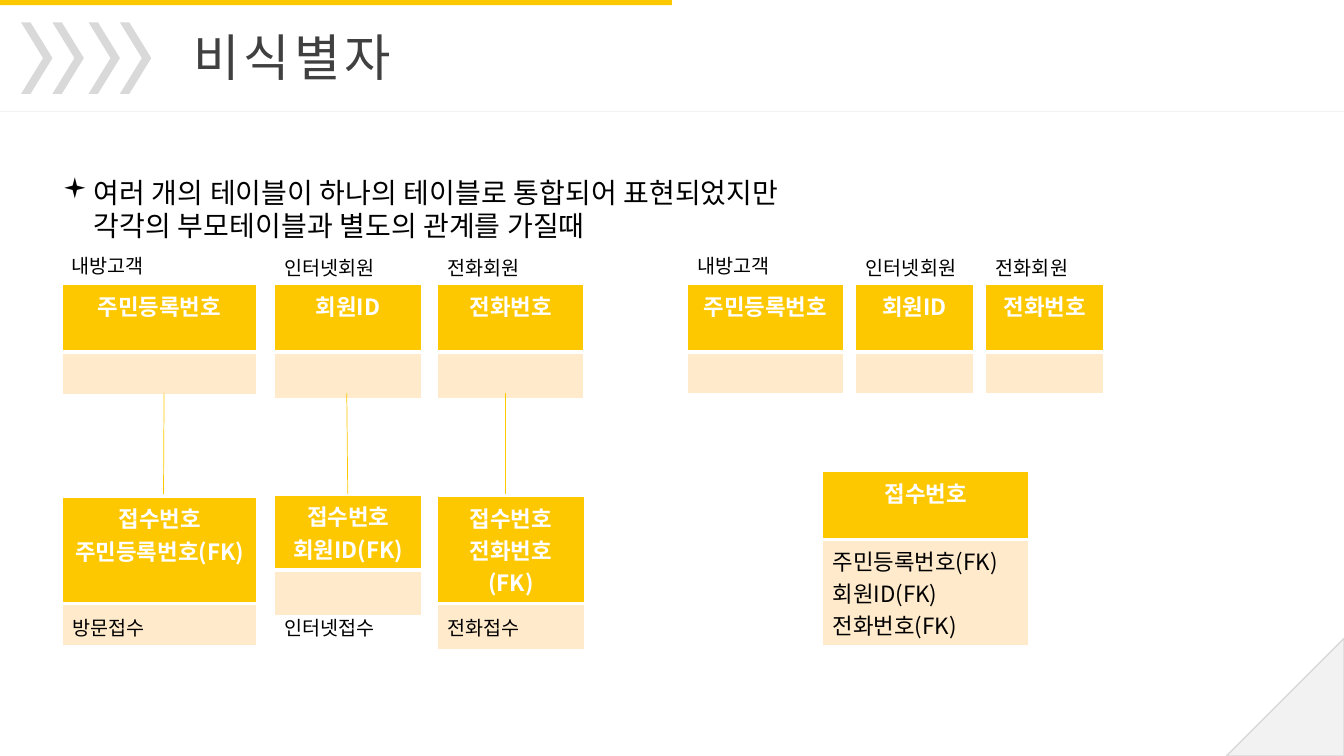
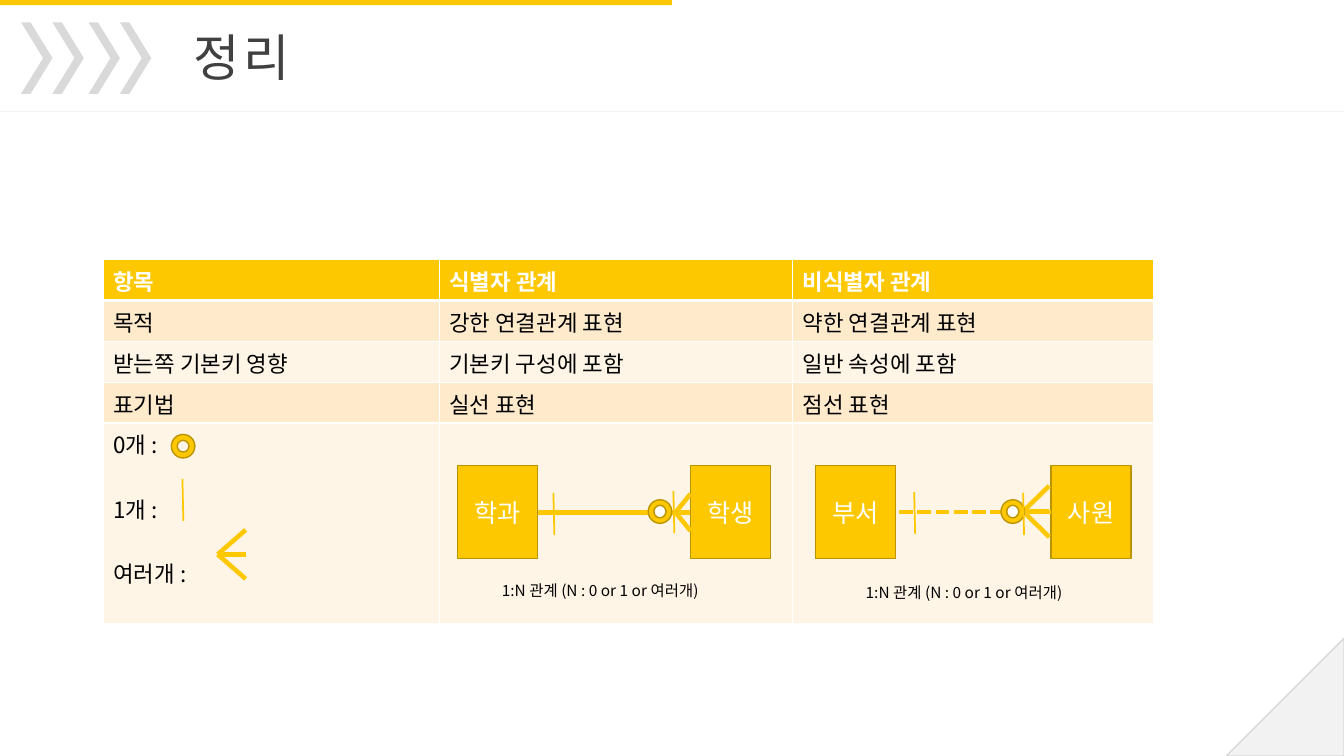
from dataclasses import dataclass

from lxml import etree
from pptx import Presentation
from pptx.dml.color import RGBColor
from pptx.enum.dml import MSO_LINE
from pptx.enum.shapes import MSO_CONNECTOR, MSO_SHAPE
from pptx.enum.text import MSO_ANCHOR, PP_ALIGN
from pptx.oxml.ns import qn
from pptx.util import Pt

LEFT, MID, JUST = PP_ALIGN.LEFT, PP_ALIGN.CENTER, PP_ALIGN.JUSTIFY
RECT, OVAL, RING = MSO_SHAPE.RECTANGLE, MSO_SHAPE.OVAL, MSO_SHAPE.DONUT
CHEVRON, CORNER = MSO_SHAPE.CHEVRON, MSO_SHAPE.RIGHT_TRIANGLE
STRAIGHT, DASH = MSO_CONNECTOR.STRAIGHT, MSO_LINE.SQUARE_DOT


@dataclass(frozen=True)
class Theme:
    gold: str = "FEC800"
    edge: str = "BC9400"
    cream: str = "FFEBCC"
    pale: str = "FFF5E7"
    mist: str = "F2F2F2"
    grey: str = "D9D9D9"
    dark: str = "404040"
    black: str = "000000"
    white: str = "FFFFFF"
    head: str = "League Spartan"
    body: str = "Calibri"
    cell: str = "Noto Sans CJK KR"
    mark: str = "Wingdings"
    title: int = 36
    lead: int = 20
    box: int = 18
    table: int = 16
    label: int = 14
    note: int = 11


T = Theme()

# Slide 1
LEAD = ("여러 개의 테이블이 하나의 테이블로 통합되어 표현되었지만 "
        "각각의 부모테이블과 별도의 관계를 가질때")
# left, top, width, key height, body height, key lines, body lines
ENTITIES = [
    (44.6, 355, 139, 76, 30, ["접수번호", "주민등록번호(FK)"], []),
    (196, 353.5, 105.5, 53.6, 32.5, ["접수번호", "회원ID(FK)"], []),
    (312.5, 354.6, 105, 76.4, 33, ["접수번호", "전화번호(FK)"], []),
    (44.6, 203.5, 138.5, 48, 30.5, ["주민등록번호"], []),
    (196, 203.5, 105, 48, 33.5, ["회원ID"], []),
    (312.5, 203.5, 104.5, 48, 33.5, ["전화번호"], []),
    (587.5, 337, 147.5, 48.3, 76, ["접수번호"],
     ["주민등록번호(FK)", "회원ID(FK)", "전화번호(FK)"]),
    (491, 203.5, 111.5, 48, 29.5, ["주민등록번호"], []),
    (611.3, 203.5, 84, 48, 29.5, ["회원ID"], []),
    (704.2, 203.5, 84, 48, 29.5, ["전화번호"], []),
]
LABELS = [
    (44, 178, "내방고객"), (196, 179.3, "인터넷회원"), (312.5, 179.3, "전화회원"),
    (44.6, 436.3, "방문접수"), (196, 436.3, "인터넷접수"), (312.5, 436.3, "전화접수"),
    (491, 178, "내방고객"), (611.3, 179.3, "인터넷회원"), (704.2, 179.3, "전화회원"),
]
LINKS = [(117.2, 116.8), (360.7, 360.7), (247.7, 248.4)]

# Slide 2
COLS = [240, 252.5, 258]
ROWS = [29.2, 29.2, 29.2, 29.2, 143]
GRID = [
    [["항목"], ["식별자 관계"], ["비식별자 관계"]],
    [["목적"], ["강한 연결관계 표현"], ["약한 연결관계 표현"]],
    [["받는쪽 기본키 영향"], ["기본키 구성에 포함"], ["일반 속성에 포함"]],
    [["표기법"], ["실선 표현"], ["점선 표현"]],
    [["0개 :", "1개 :", "여러개 :"], [], []],
]
NOTE = "1:N 관계 (N : 0 or 1 or 여러개)"
AXIS = 365.8
# boxes, line (start, end, width, dash), foot (x, y, reach, spread),
# ring left, ticks, note position
MODELS = [
    dict(boxes=[(327, "학과"), (493.2, "학생")], line=(384, 493.2, 3.5, None),
         foot=(482.5, 366, 10.7, 13.2), ring=463,
         ticks=[(395.3, 352.1), (481, 350.8)], note=(351.4, 411.4)),
    dict(boxes=[(582.5, "부서"), (750.8, "사원")], line=(642.2, 751, 3.25, DASH),
         foot=(730.8, 365.3, 18.7, 18.3), ring=715,
         ticks=[(653, 351.5), (730.8, 352.1)], note=(611.3, 412.6)),
]
LEGEND = dict(ring=(122.4, 310.3), tick=(130.3, 342), foot=(155.5, 396, 20, 17.5))


def rgb(code):
    return RGBColor.from_string(code)


def write(frame, lines, size, color, font=T.cell, bold=False, align=LEFT, gap=0, track=0):
    """Fill a text frame with one paragraph per line."""
    for i, line in enumerate(lines):
        para = frame.paragraphs[0] if i == 0 else frame.add_paragraph()
        para.alignment = align
        if i and gap:
            para.space_before = Pt(gap)
        run = para.add_run()
        run.text = line
        run.font.name, run.font.size, run.font.bold = font, Pt(size), bold
        run.font.color.rgb = rgb(color)
        props = run.font._element
        etree.SubElement(props, qn("a:ea"), typeface=font)
        if track:
            props.set("spc", str(track * 100))


def text(slide, x, y, w, h, line, size, color=T.black, font=T.body, **style):
    frame = slide.shapes.add_textbox(Pt(x), Pt(y), Pt(w), Pt(h)).text_frame
    frame.word_wrap = True
    write(frame, [line], size, color, font, **style)
    return frame


def shape(shapes, kind, x, y, w, h, fill, edge=None):
    item = shapes.add_shape(kind, Pt(x), Pt(y), Pt(w), Pt(h))
    item.shadow.inherit = False
    item.fill.solid()
    item.fill.fore_color.rgb = rgb(fill)
    if edge:
        item.line.color.rgb = rgb(edge)
        item.line.width = Pt(1)
    else:
        item.line.fill.background()
    return item


def line(slide, x1, y1, x2, y2, width, color=T.gold, dash=None):
    item = slide.shapes.add_connector(STRAIGHT, Pt(x1), Pt(y1), Pt(x2), Pt(y2))
    item.line.color.rgb = rgb(color)
    item.line.width = Pt(width)
    if dash:
        item.line.dash_style = dash
    etree.SubElement(item._element.spPr, qn("a:effectLst"))


def paint(cell, fill, base):
    """Draw white borders, then the fill, as the schema orders them."""
    props = cell._tc.get_or_add_tcPr()
    for side, width in (("L", 1), ("R", 1), ("T", 1), ("B", base)):
        rule = etree.SubElement(props, qn("a:ln" + side), w=str(Pt(width)))
        tint = etree.SubElement(rule, qn("a:solidFill"))
        etree.SubElement(tint, qn("a:srgbClr"), val=T.white)
    cell.fill.solid()
    cell.fill.fore_color.rgb = rgb(fill)


def table(slide, x, y, cols, rows, cells, align=LEFT, gap=0):
    """Add a table whose first row is its header."""
    grid = slide.shapes.add_table(len(rows), len(cols), Pt(x), Pt(y),
                                  Pt(sum(cols)), Pt(sum(rows))).table
    grid.first_row = grid.horz_banding = False
    for c, width in enumerate(cols):
        grid.columns[c].width = Pt(width)
    for r, height in enumerate(rows):
        grid.rows[r].height = Pt(height)
        head = r == 0
        fill = T.gold if head else T.cream if r % 2 else T.pale
        for c, lines in enumerate(cells[r]):
            cell = grid.cell(r, c)
            paint(cell, fill, 3 if head else 1)
            if lines:
                write(cell.text_frame, lines, T.table, T.white if head else T.black,
                      bold=head, align=align if head else LEFT, gap=gap)
            else:
                cell.text_frame.paragraphs[0].font.size = Pt(T.note)


def start(deck, title):
    """Add a slide with the shared band, rule, chevrons, corner and title."""
    slide = deck.slides.add_slide(deck.slide_layouts[6])
    shape(slide.shapes, CORNER, 876, 456, 84, 84, T.mist, T.grey).rotation = 270
    shape(slide.shapes, RECT, 0, 0, 480, 3.6, T.gold)
    line(slide, 0, 79.2, 960, 79.2, 0.5, T.mist)
    for pair in range(2):
        group = slide.shapes.add_group_shape()
        for step in range(2):
            mark = shape(group.shapes, CHEVRON, 15.1 + 48.2 * pair + 22.4 * step,
                         16, 22.4, 51, T.grey)
            mark.adjustments[0] = 0.7
    text(slide, 131, 15, 743, 51, title, T.title, T.dark, T.head, align=JUST, track=3)
    return slide


def foot(slide, x, y, reach, spread):
    """Draw the three toes that mean many."""
    for side in (-1, 0, 1):
        line(slide, x, y, x + reach, y + side * spread, 3.25)


def tick(slide, x, y):
    line(slide, x, y, x + 0.7, y + 30, 1.25)


def ring(slide, x, y):
    shape(slide.shapes, RING, x, y, 16.8, 16.8, T.gold, T.edge)


def model(slide, boxes, line_, foot_, ring_, ticks, note):
    for x, name in boxes:
        box = shape(slide.shapes, RECT, x, 332.6, 57, 66.3, T.gold, T.edge)
        box.text_frame.vertical_anchor = MSO_ANCHOR.MIDDLE
        write(box.text_frame, [name], T.box, T.white, align=MID)
    x1, x2, width, dash = line_
    line(slide, x1, AXIS, x2, AXIS, width, dash=dash)
    foot(slide, *foot_)
    text(slide, *note, 172, 21, NOTE, T.note, font=T.cell)
    ring(slide, ring_, 357)
    for spot in ticks:
        tick(slide, *spot)
    shape(slide.shapes, OVAL, ring_ + 4.1, 360.9, 8.6, 9, T.white, T.edge)


def keys(deck):
    slide = start(deck, "비식별자")
    for x, y, w, top, base, key, body in ENTITIES:
        table(slide, x, y, [w], [top, base], [[key], [body]], MID)
    for x, y, name in LABELS:
        text(slide, x, y, 100, 24.5, name, T.label)
    for top, end in LINKS:
        line(slide, top, 281, end, 353, 0.5)
    para = text(slide, 37.5, 121.7, 582, 55.5, LEAD, T.lead).paragraphs[0]
    props = para._p.get_or_add_pPr()
    props.set("marL", str(Pt(22.5)))
    props.set("indent", str(-Pt(22.5)))
    etree.SubElement(props, qn("a:buFont"), typeface=T.mark)
    etree.SubElement(props, qn("a:buChar"), char="▪")


def recap(deck):
    slide = start(deck, "정리")
    table(slide, 73.8, 185.4, COLS, ROWS, GRID, gap=23)
    for m in MODELS:
        model(slide, m["boxes"], m["line"], m["foot"], m["ring"], m["ticks"], m["note"])
    ring(slide, *LEGEND["ring"])
    tick(slide, *LEGEND["tick"])
    foot(slide, *LEGEND["foot"])


def main():
    deck = Presentation()
    deck.slide_width, deck.slide_height = Pt(960), Pt(540)
    keys(deck)
    recap(deck)
    deck.save("out.pptx")


if __name__ == "__main__":
    main()
